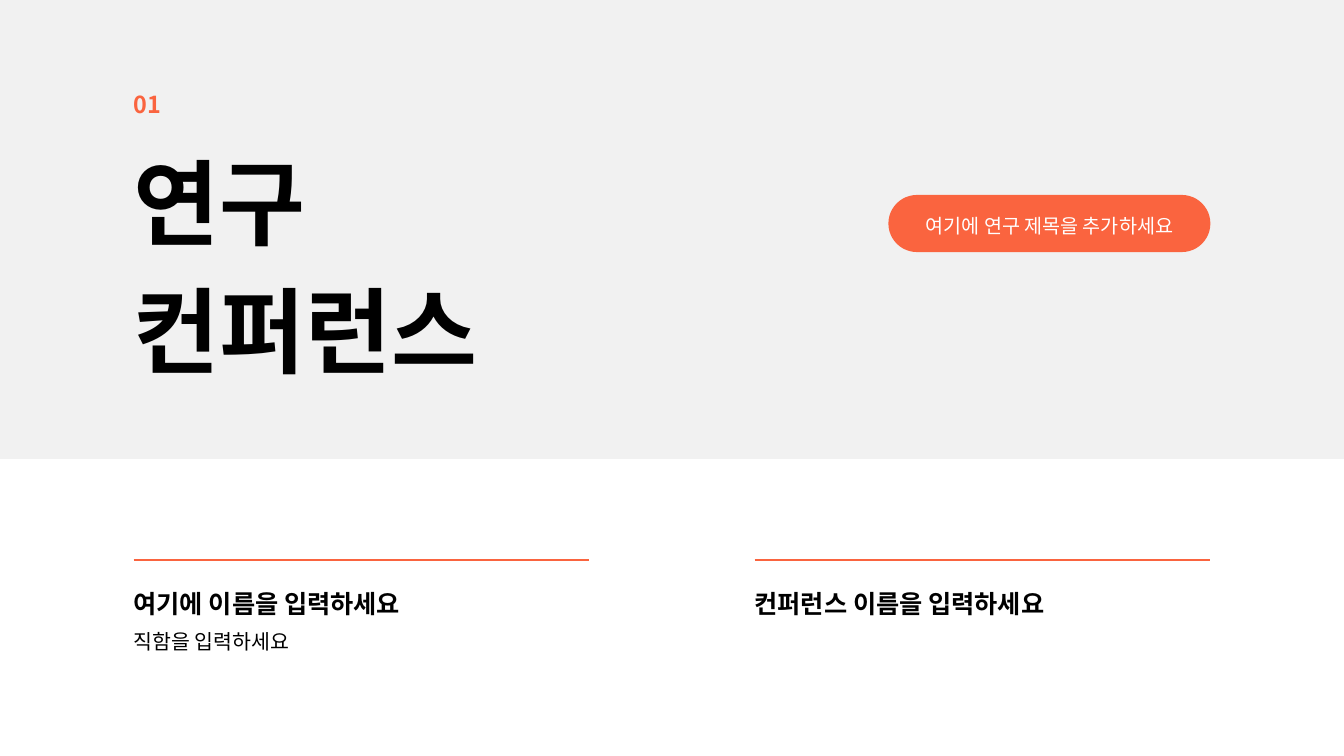
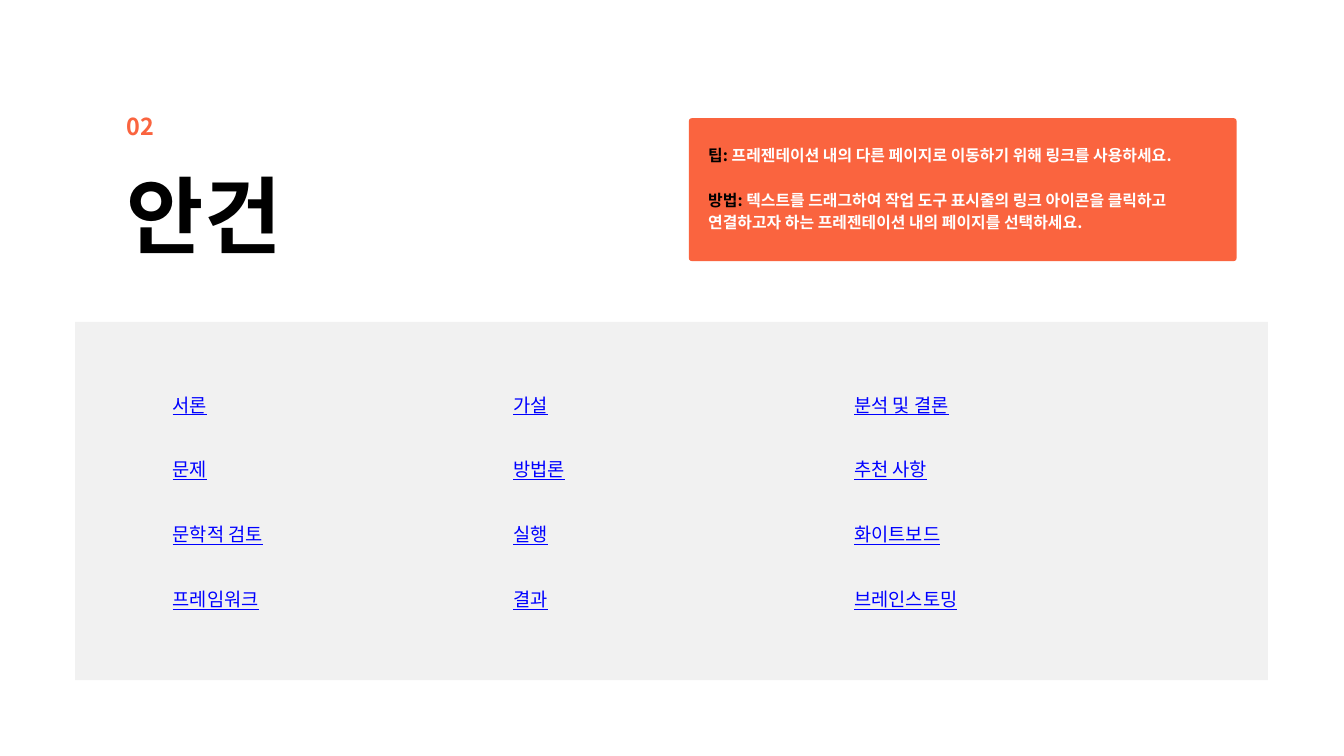
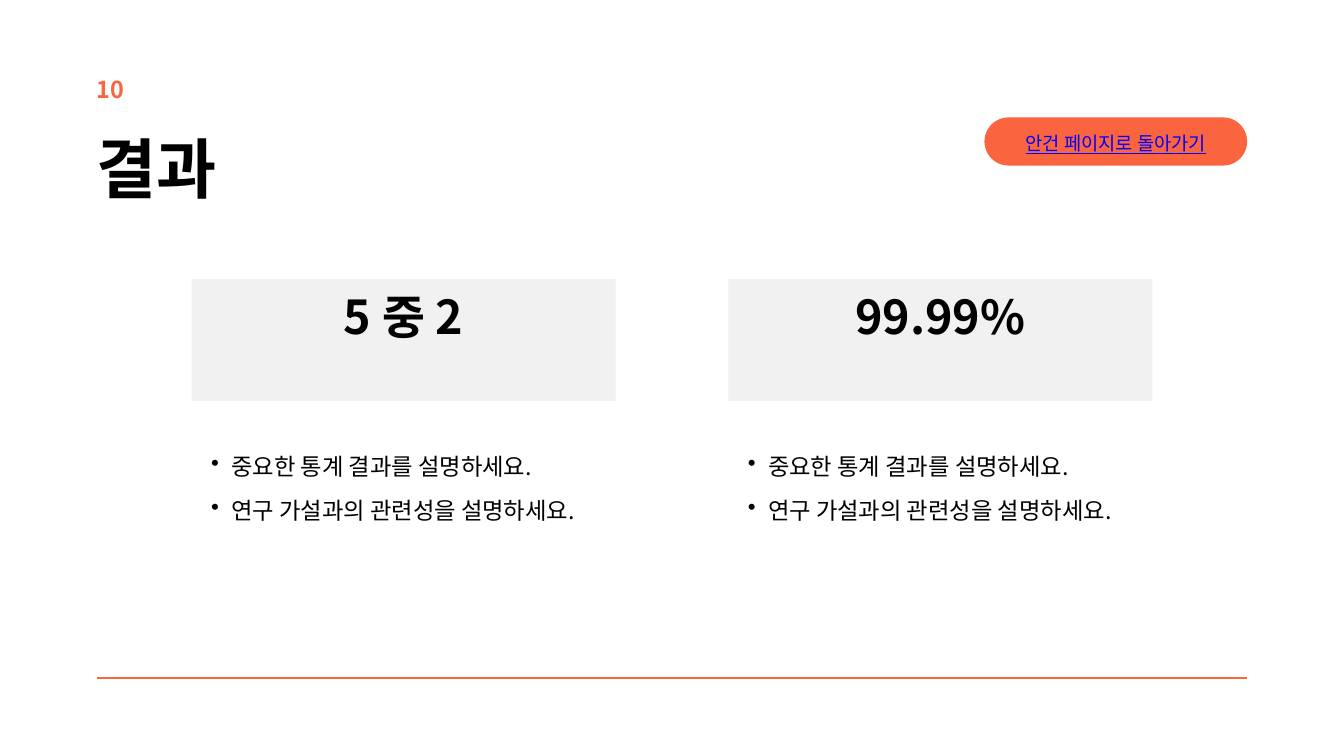
from dataclasses import dataclass, replace

from lxml.etree import SubElement
from pptx import Presentation
from pptx.dml.color import RGBColor
from pptx.enum.shapes import MSO_CONNECTOR as Connector, MSO_SHAPE as Preset
from pptx.enum.text import MSO_ANCHOR as Anchor, MSO_AUTO_SIZE as AutoSize, PP_ALIGN as Align
from pptx.oxml.ns import qn
from pptx.util import Cm, Pt


@dataclass(frozen=True)
class TextStyle:
    size: float
    leading: float
    color: str = "000000"
    bold: bool = False
    underline: bool = False
    align: Align = Align.LEFT


class Theme:
    font = "Noto Sans CJK KR"
    accent, pale, white, ink, link_blue = "FA643F", "F1F1F1", "FFFFFF", "000000", "0000FF"

    cover_title = TextStyle(100, 137, bold=True)
    agenda_title = TextStyle(90, 108, bold=True)
    results_title = TextStyle(70, 84, bold=True)
    number = TextStyle(25, 27.5, accent, bold=True)
    name = TextStyle(27, 37.8, bold=True)
    role = TextStyle(22, 30.8)
    pill = TextStyle(21, 29.4, white, align=Align.CENTER)
    link = TextStyle(20, 28, link_blue, underline=True)
    back_link = replace(link, align=Align.CENTER)
    tip = TextStyle(17, 23.8, white, bold=True)
    tip_lead = replace(tip, color=ink)
    stat = TextStyle(50, 70, bold=True, align=Align.CENTER)
    finding = TextStyle(25, 47.5)


class Deck:
    def __init__(self, theme, width, height):
        self.theme = theme
        self.presentation = Presentation()
        self.presentation.slide_width = Cm(width)
        self.presentation.slide_height = Cm(height)
        self.slide = None

    # Text formatting
    def format_run(self, run, style):
        font = run.font
        font.name, font.size = self.theme.font, Pt(style.size)
        font.bold, font.underline = style.bold, style.underline
        font.color.rgb = RGBColor.from_string(style.color)
        SubElement(font._element, qn("a:ea"), typeface=self.theme.font)

    def format_paragraph(self, paragraph, style):
        paragraph.alignment = style.align
        paragraph.line_spacing = Pt(style.leading)
        for run in paragraph.runs:
            self.format_run(run, style)

    def fill_text(self, frame, text, style, anchor=Anchor.TOP):
        frame.text = text
        frame.word_wrap, frame.auto_size = True, AutoSize.NONE
        frame.vertical_anchor = anchor
        frame.margin_left = frame.margin_top = frame.margin_right = frame.margin_bottom = 0
        for paragraph in frame.paragraphs:
            self.format_paragraph(paragraph, style)

    # Elements
    def text(self, left, top, width, height, text, style):
        box = self.slide.shapes.add_textbox(Cm(left), Cm(top), Cm(width), Cm(height))
        self.fill_text(box.text_frame, text, style)
        return box.text_frame

    def panel(self, left, top, width, height, color, preset=Preset.RECTANGLE, corner=None):
        panel = self.slide.shapes.add_shape(preset, Cm(left), Cm(top), Cm(width), Cm(height))
        if corner is not None:
            panel.adjustments[0] = corner
        panel.shadow.inherit = False
        panel.fill.solid()
        panel.fill.fore_color.rgb = RGBColor.from_string(color)
        panel.line.fill.background()
        return panel.text_frame

    def pill(self, left, top, width, height, text, style):
        frame = self.panel(left, top, width, height, self.theme.accent,
                           Preset.ROUNDED_RECTANGLE, 0.5)
        self.fill_text(frame, text, style, Anchor.MIDDLE)

    def rule(self, left, top, width, weight):
        rule = self.slide.shapes.add_connector(
            Connector.STRAIGHT, Cm(left), Cm(top), Cm(left + width), Cm(top))
        rule.line.color.rgb = RGBColor.from_string(self.theme.accent)
        rule.line.width = Pt(weight)
        SubElement(rule._element.spPr, qn("a:effectLst"))

    def heading(self, left, top, width, height, title, style, number, number_top):
        heading = self.slide.shapes.title
        heading.left, heading.top = Cm(left), Cm(top)
        heading.width, heading.height = Cm(width), Cm(height)
        self.fill_text(heading.text_frame, title, style)
        # Bring the title in front of the background band
        heading.element.getparent().append(heading.element)
        self.text(left, number_top, 1.6, 1.02, number, self.theme.number)

    def tip(self, left, top, width, height, lines):
        frame = self.panel(left, top, width, height, self.theme.accent,
                           Preset.ROUNDED_RECTANGLE, 0.02)
        leads = "\n".join(lead for lead, _ in lines)
        self.fill_text(frame, leads, self.theme.tip_lead, Anchor.MIDDLE)
        frame.margin_left = frame.margin_right = Cm(0.7)
        frame.margin_bottom = Cm(0.18)
        for paragraph, (_, advice) in zip(frame.paragraphs, lines):
            run = paragraph.add_run()
            run.text = advice
            self.format_run(run, self.theme.tip)
        frame.paragraphs[1].space_before = Pt(self.theme.tip.leading)

    def bullets(self, left, top, width, height, items):
        frame = self.text(left, top, width, height, "\n".join(items), self.theme.finding)
        for paragraph in frame.paragraphs:
            paragraph.level = 1
            properties = paragraph._p.get_or_add_pPr()
            properties.set("marL", str(Cm(1.5)))
            properties.set("indent", str(Cm(-0.76)))
            SubElement(properties, qn("a:buChar"), char="•")

    # Slides
    def new_slide(self):
        title_only = self.presentation.slide_layouts[5]
        self.slide = self.presentation.slides.add_slide(title_only)

    def cover(self):
        self.new_slide()
        theme = self.theme
        self.panel(0, 0, 50.8, 17.35, theme.pale)
        self.heading(5.05, 4.88, 25.4, 9.5, "연구\n컨퍼런스", theme.cover_title, "01", 3.48)
        self.pill(33.58, 7.37, 12.17, 2.16, "여기에 연구 제목을 추가하세요", theme.pill)
        column = 17.22
        for left, name in ((5.05, "여기에 이름을 입력하세요"), (28.52, "컨퍼런스 이름을 입력하세요")):
            self.rule(left, 21.18, column, 2)
            self.text(left, 22.05, column, 1.24, name, theme.name)
        self.text(5.05, 23.62, column, 1.02, "직함을 입력하세요", theme.role)

    def agenda(self):
        self.new_slide()
        theme = self.theme
        self.panel(2.84, 12.17, 45.08, 13.54, theme.pale)
        self.heading(4.8, 6.2, 17.22, 3.86, "안건", theme.agenda_title, "02", 4.32)
        self.tip(26.04, 4.47, 20.7, 5.4, (
            ("팁: ", "프레젠테이션 내의 다른 페이지로 이동하기 위해 링크를 사용하세요."),
            ("방법: ", "텍스트를 드래그하여 작업 도구 표시줄의 링크 아이콘을 클릭하고"),
            ("", "연결하고자 하는 프레젠테이션 내의 페이지를 선택하세요."),
        ))
        # Topics run down each column
        columns = (
            (8.38, ("서론", "문제", "문학적 검토", "프레임워크")),
            (8.38, ("가설", "방법론", "실행", "결과")),
            (11.99, ("분석 및 결론", "추천 사항", "화이트보드", "브레인스토밍")),
        )
        for column, (width, topics) in enumerate(columns):
            for row, topic in enumerate(topics):
                self.text(6.53 + 12.88 * column, 14.73 + 2.45 * row, width, 0.97,
                          topic, theme.link)

    def results(self):
        self.new_slide()
        theme = self.theme
        self.heading(3.66, 4.85, 21.74, 2.95, "결과", theme.results_title, "10", 2.92)
        self.pill(37.21, 4.44, 9.93, 1.82, "안건 페이지로 돌아가기", theme.back_link)
        findings = ("중요한 통계 결과를 설명하세요.", "연구 가설과의 관련성을 설명하세요.")
        for left, stat in ((7.24, "5 중 2"), (27.53, "99.99%")):
            self.fill_text(self.panel(left, 10.54, 16.03, 4.62, theme.pale), stat, theme.stat)
            self.bullets(left, 16.46, 16.03, 3.23, findings)
        self.rule(3.66, 25.63, 43.48, 1.5)


def main():
    deck = Deck(Theme, 50.8, 28.58)
    deck.cover()
    deck.agenda()
    deck.results()
    deck.presentation.save("out.pptx")


if __name__ == "__main__":
    main()
